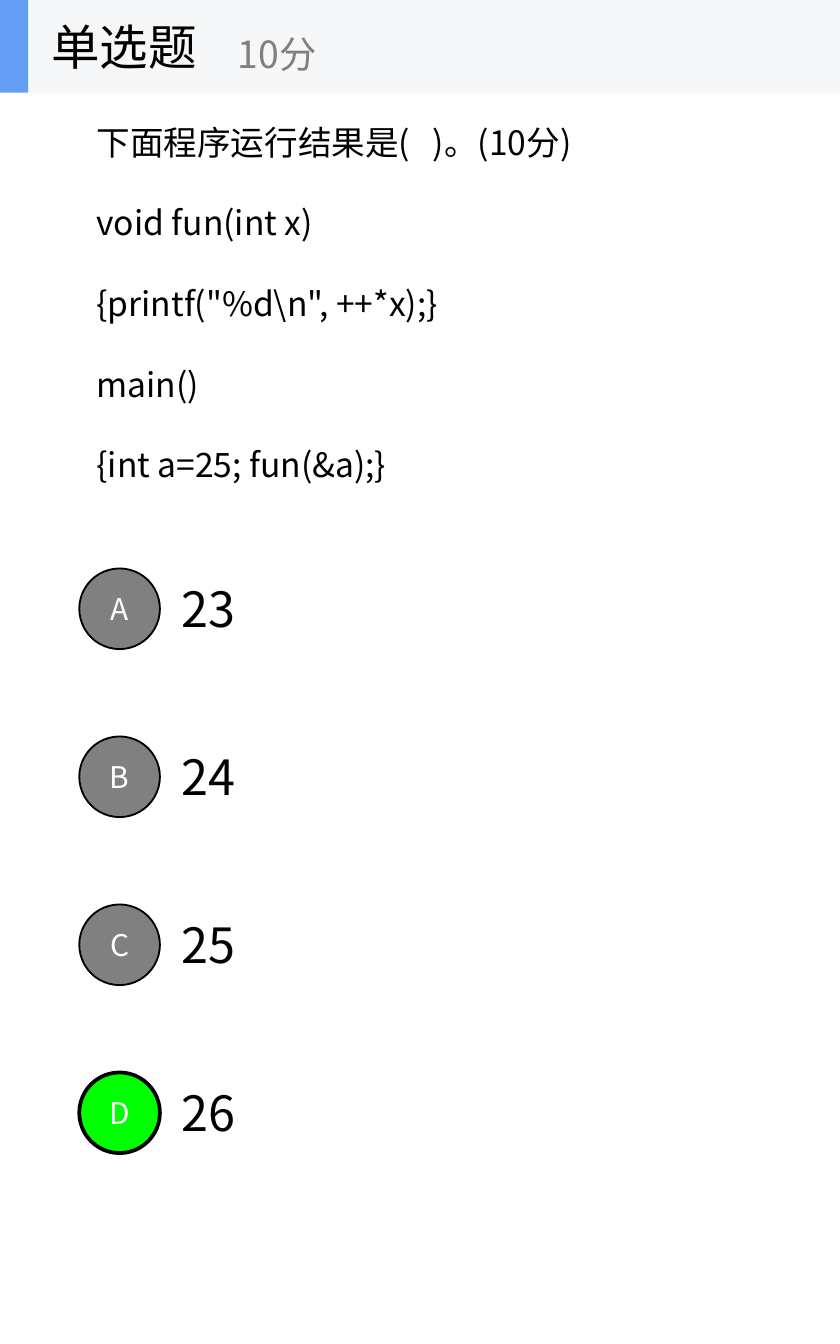
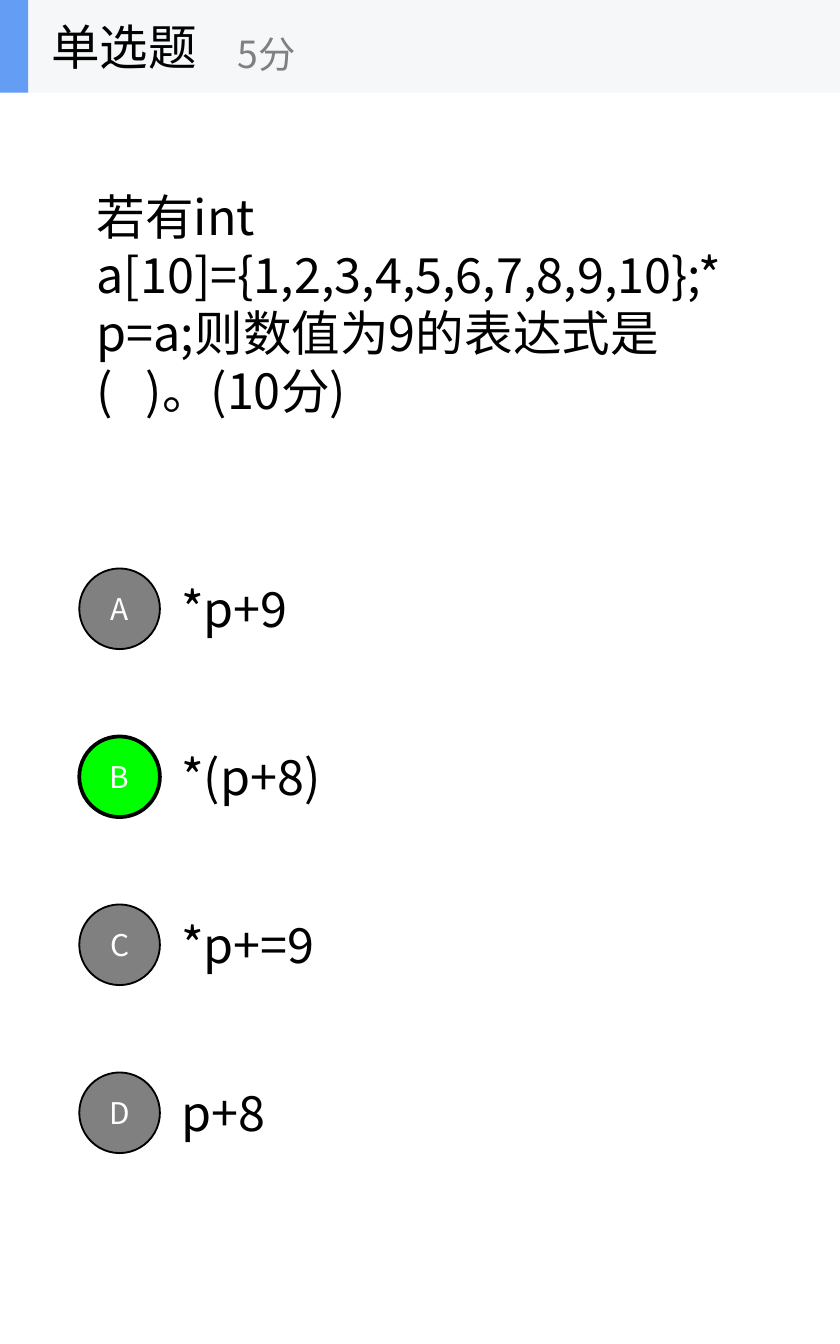
from lxml import etree
from pptx import Presentation
from pptx.dml.color import RGBColor
from pptx.enum.shapes import MSO_SHAPE as Shape
from pptx.enum.text import MSO_ANCHOR as Anchor, MSO_AUTO_SIZE as AutoSize, PP_ALIGN as Align
from pptx.oxml.ns import qn
from pptx.util import Inches, Pt

BLACK = RGBColor(0x00, 0x00, 0x00)
WHITE = RGBColor(0xFF, 0xFF, 0xFF)
GRAY = RGBColor(0x80, 0x80, 0x80)
GREEN = RGBColor(0x00, 0xFF, 0x00)
BAND = RGBColor(0xF6, 0xF7, 0xF8)
ACCENT = RGBColor(0x63, 0x9E, 0xF4)
FONT = "Noto Sans CJK SC"

WIDTH, HEIGHT, HEADER_HEIGHT = 6.25, 10, 0.69
FIRST_OPTION, OPTION_STEP, CIRCLE = 4.23, 1.25, 0.6
LINE_RATIO = 1.2

QUESTIONS = [
    {
        "score": "10分",
        "lines": [
            "下面程序运行结果是(   )。(10分)",
            "void fun(int x)",
            '{printf("%d\\n", ++*x);}',
            "main()",
            "{int a=25; fun(&a);}",
        ],
        "box": (0.62, 0.84, 3.87, 2.83),
        "size": 18,
        "options": [("23", 0.73), ("24", 0.73), ("25", 0.73), ("26", 0.73)],
        "answer": "D",
    },
    {
        "score": "5分",
        "lines": ["若有int a[10]={1,2,3,4,5,6,7,8,9,10};*p=a;则数值为9的表达式是(   )。(10分)"],
        "box": (0.62, 1.34, 4.93, 1.83),
        "size": 26,
        "options": [("*p+9", 1.18), ("*(p+8)", 1.42), ("*p+=9", 1.45), ("p+8", 1.02)],
        "answer": "B",
    },
]


def write(shape, lines, size, color, align=Align.LEFT, fit=AutoSize.NONE):
    frame = shape.text_frame
    frame.text = "\n".join(lines)
    settings = {"word_wrap": True, "auto_size": fit, "vertical_anchor": Anchor.MIDDLE}
    for name, value in settings.items():
        setattr(frame, name, value)
    for index, paragraph in enumerate(frame.paragraphs):
        paragraph.alignment = align
        paragraph.line_spacing = Pt(size * LINE_RATIO)
        paragraph.space_before = Pt(size * LINE_RATIO if index else 0)
        for run in paragraph.runs:
            run.font.name, run.font.size = FONT, Pt(size)
            run.font.color.rgb = color
            latin = run.font._element.find(qn("a:latin"))
            east_asian = etree.Element(qn("a:ea"), typeface=FONT)
            latin.addnext(east_asian)


def add_text(slide, box, lines, size, color, fit=AutoSize.NONE):
    label = slide.shapes.add_textbox(*map(Inches, box))
    write(label, lines, size, color, fit=fit)


def add_filled(slide, kind, box, fill, line_width=0):
    shape = slide.shapes.add_shape(kind, *map(Inches, box))
    shape.shadow.inherit = False
    shape.fill.solid()
    shape.fill.fore_color.rgb = fill
    if line_width:
        shape.line.color.rgb = BLACK
        shape.line.width = Pt(line_width)
    else:
        shape.line.fill.background()
    return shape


def add_header(slide, score):
    add_filled(slide, Shape.RECTANGLE, (0, 0, WIDTH, HEADER_HEIGHT), BAND)
    accent = add_filled(slide, Shape.RECTANGLE, (0, 0, 0.21, HEADER_HEIGHT), ACCENT)
    title = slide.shapes.title
    accent.element.addnext(title.element)
    place = {"left": 0.28, "top": 0, "width": 2.08, "height": HEADER_HEIGHT}
    for side, inches in place.items():
        setattr(title, side, Inches(inches))
    write(title, ["单选题"], 26, BLACK)
    add_text(slide, (1.67, 0.12, 2.5, 0.56), [score], 20, GRAY)


def add_options(slide, options, answer):
    for index, (letter, (choice, width)) in enumerate(zip("ABCD", options)):
        top = FIRST_OPTION + index * OPTION_STEP
        add_text(slide, (1.25, top + 0.03, width, 0.53), [choice], 26, BLACK,
                 AutoSize.SHAPE_TO_FIT_TEXT)
        fill, line_width = (GREEN, 2) if letter == answer else (GRAY, 1)
        circle = add_filled(slide, Shape.OVAL, (0.59, top, CIRCLE, CIRCLE), fill, line_width)
        write(circle, [letter], 16, WHITE, Align.CENTER)


def main():
    deck = Presentation()
    deck.slide_width, deck.slide_height = Inches(WIDTH), Inches(HEIGHT)
    for question in QUESTIONS:
        slide = deck.slides.add_slide(deck.slide_layouts[5])
        add_text(slide, question["box"], question["lines"], question["size"], BLACK,
                 AutoSize.SHAPE_TO_FIT_TEXT)
        add_options(slide, question["options"], question["answer"])
        add_header(slide, question["score"])
    deck.save("out.pptx")


if __name__ == "__main__":
    main()
